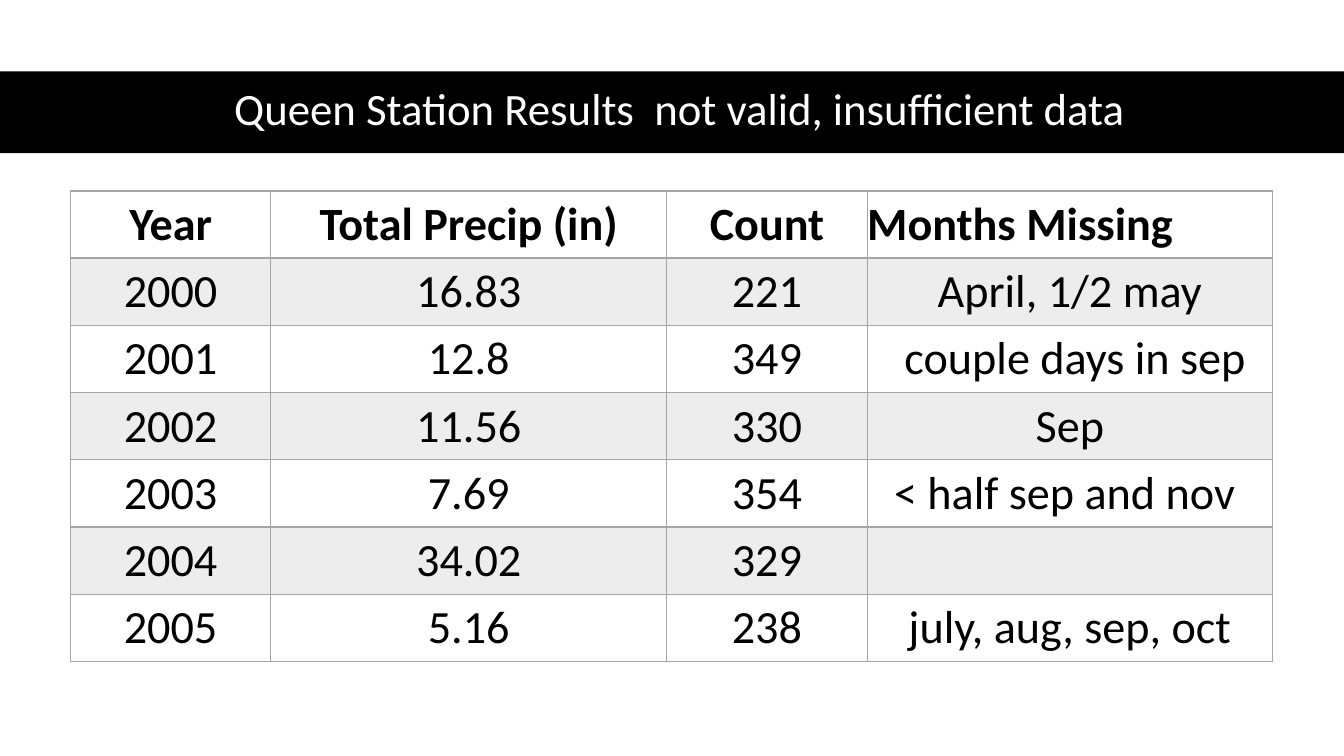
import pptx
import pptx.dml.color
import pptx.enum.shapes
import pptx.enum.text
import pptx.oxml
import pptx.oxml.ns
import pptx.util

PX = 9525
BLACK, WHITE, GRAY = "000000", "FFFFFF", "A5A5A5"
CENTER = pptx.enum.text.PP_ALIGN.CENTER
LEFT = pptx.enum.text.PP_ALIGN.LEFT
MIDDLE = pptx.enum.text.MSO_ANCHOR.MIDDLE
NO_MARGINS = {f"margin_{side}": 0 for side in ("left", "top", "right", "bottom")}

HEADINGS = ["Year", "Total Precip (in)", "Count", "Months Missing"]
YEARS = [
    ["2000", "16.83", "221", "April, 1/2 may"],
    ["2001", "12.8", "349", " couple days in sep"],
    ["2002", "11.56", "330", "Sep"],
    ["2003", "7.69", "354", "< half sep and nov "],
    ["2004", "34.02", "329", ""],
    ["2005", "5.16", "238", "july, aug, sep, oct"],
]
COLUMN_WIDTHS = [191, 377, 191, 386]
ROW_HEIGHT = 64


def px(*lengths):
    return [pptx.util.Emu(length * PX) for length in lengths]


def color(hex_value):
    return pptx.dml.color.RGBColor.from_string(hex_value)


def apply(target, formats):
    for name, value in formats.items():
        setattr(target, name, value)


def write(paragraph, text, size, hex_value, bold=False, **formats):
    apply(paragraph, {"alignment": CENTER, **formats})
    run = paragraph.add_run()
    run.text = text
    apply(run.font, {"name": "Calibri", "size": pptx.util.Pt(size), "bold": bold})
    run.font.color.rgb = color(hex_value)


def add_band(slide, *box):
    band = slide.shapes.add_shape(pptx.enum.shapes.MSO_SHAPE.RECTANGLE, *px(*box))
    band.shadow.inherit = False
    band.fill.solid()
    band.fill.fore_color.rgb = color(BLACK)
    band.line.fill.background()


def add_title(slide, text, *box):
    frame = slide.shapes.add_textbox(*px(*box)).text_frame
    apply(frame, {"word_wrap": True, "vertical_anchor": MIDDLE})
    write(frame.paragraphs[0], text, 32, WHITE, line_spacing=0.9)


def set_borders(cell, widths):
    properties = cell._tc.get_or_add_tcPr()
    for side, points in widths.items():
        properties.append(pptx.oxml.parse_xml(
            f'<a:ln{side} {pptx.oxml.ns.nsdecls("a")} w="{pptx.util.Pt(points)}">'
            f'<a:solidFill><a:srgbClr val="{GRAY}"/></a:solidFill></a:ln{side}>'
        ))


def set_fill(cell, shaded):
    if not shaded:
        cell.fill.background()
        return
    cell.fill.solid()
    cell.fill.fore_color.rgb = color(GRAY)
    tint = cell._tc.tcPr.find(".//" + pptx.oxml.ns.qn("a:solidFill") + "[last()]")
    tint = cell._tc.tcPr.findall(pptx.oxml.ns.qn("a:solidFill"))[0][0]
    tint.append(pptx.oxml.parse_xml(
        f'<a:alpha {pptx.oxml.ns.nsdecls("a")} val="20000"/>'
    ))


def add_precipitation_table(slide, left, top):
    records = [HEADINGS, *YEARS]
    box = px(left, top, sum(COLUMN_WIDTHS), ROW_HEIGHT * len(records))
    table = slide.shapes.add_table(len(records), len(HEADINGS), *box).table
    apply(table, {"first_row": False, "horz_banding": False})
    for column, width in zip(table.columns, px(*COLUMN_WIDTHS)):
        column.width = width
    for index, record in enumerate(records):
        heading = index == 0
        table.rows[index].height = px(ROW_HEIGHT)[0]
        for place, text in enumerate(record):
            cell = table.cell(index, place)
            apply(cell, {**NO_MARGINS, "vertical_anchor": MIDDLE})
            set_borders(cell, {
                "L": 1, "R": 1, "T": 2 if index == 1 else 1, "B": 2 if heading else 1,
            })
            set_fill(cell, index % 2 == 1)
            if text:
                alignment = LEFT if text == "Months Missing" else CENTER
                write(cell.text_frame.paragraphs[0], text, 33, BLACK, heading,
                      alignment=alignment)


def main():
    deck = pptx.Presentation()
    deck.slide_width, deck.slide_height = px(1280, 720)
    slide = deck.slides.add_slide(deck.slide_layouts[6])
    add_band(slide, 0, 68, 1280, 78)
    add_title(slide, "Queen Station Results  not valid, insufficient data",
              59, 67, 1177, 78)
    add_precipitation_table(slide, 67, 182)
    deck.save("out.pptx")


if __name__ == "__main__":
    main()
